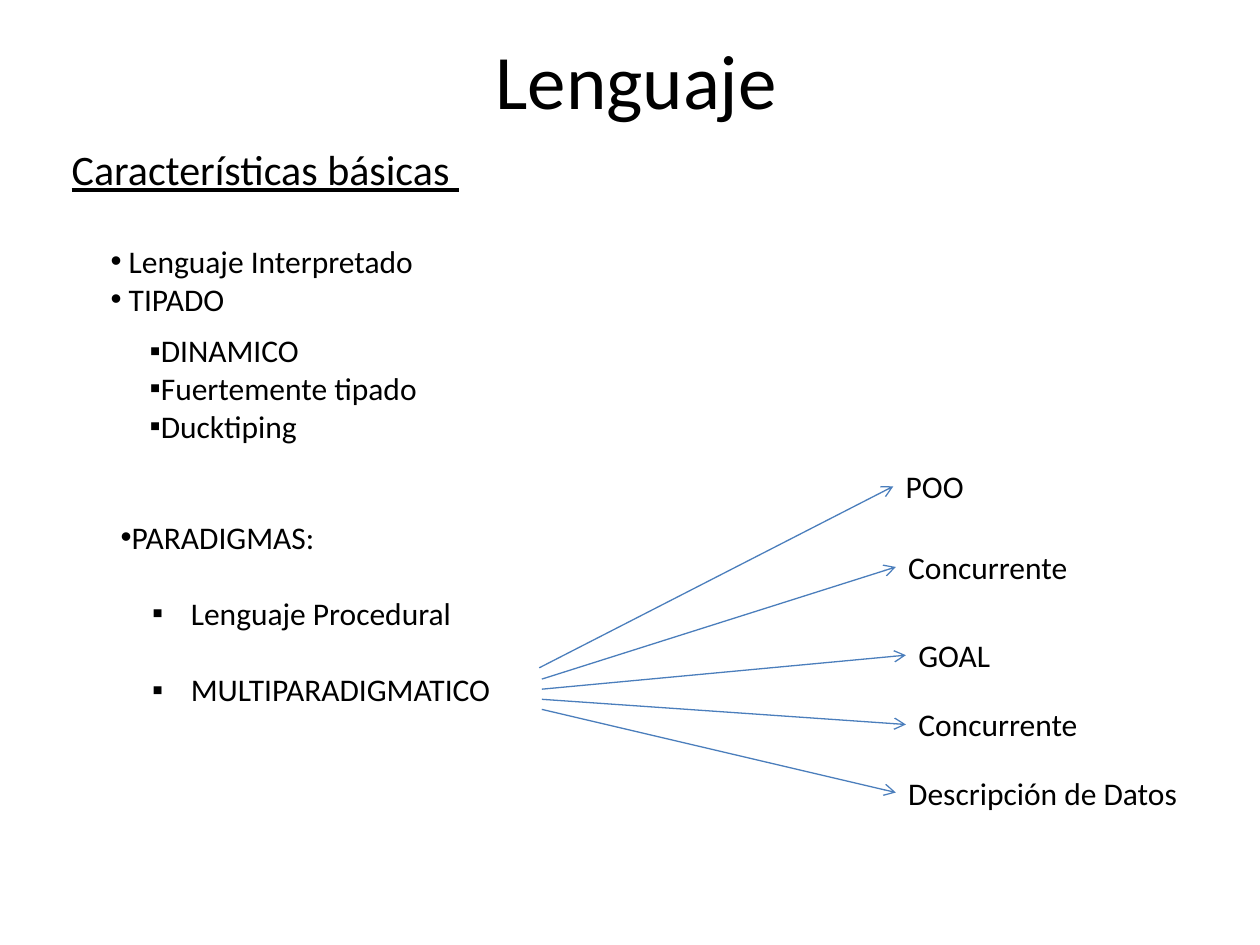
import pptx
import pptx.dml.color
import pptx.enum.shapes
import pptx.enum.text
import pptx.oxml
import pptx.oxml.ns
import pptx.util

PX = 9144
FONT = "Calibri"
COLORS = {"text": "000000", "arrow": "4B7EBC", "background": "FFFFFF"}


def px(length):
    """Turn px, a hundred to the inch, into EMU."""
    return pptx.util.Emu(length * PX)


def color(name):
    """Look up a colour by its role."""
    return pptx.dml.color.RGBColor.from_string(COLORS[name])


def add_text(slide, box, lines, size=18, wrap=True):
    """Add a text box with one paragraph for each line and return its frame."""
    shape = slide.shapes.add_textbox(*map(px, box))
    text_frame = shape.text_frame
    text_frame.word_wrap = wrap
    text_frame.text = "\n".join(lines)
    for paragraph in text_frame.paragraphs:
        font = paragraph.runs[0].font
        font.name = FONT
        font.size = pptx.util.Pt(size)
        font.color.rgb = color("text")
    return text_frame


def set_bullet(paragraph, character, margin=0, hanging=0):
    """Give a paragraph a bullet with a left margin and a hanging indent."""
    properties = paragraph._p.get_or_add_pPr()
    properties.set("marL", str(px(margin)))
    properties.set("indent", str(-px(hanging)))
    for tag, name, value in (("buFont", "typeface", "Arial"), ("buChar", "char", character)):
        element = pptx.oxml.parse_xml(f'<a:{tag} {pptx.oxml.ns.nsdecls("a")} {name}="{value}"/>')
        properties.append(element)


def add_title(slide, box):
    """Add the centred slide title."""
    text_frame = add_text(slide, box, ["Lenguaje"], size=44)
    text_frame.vertical_anchor = pptx.enum.text.MSO_ANCHOR.MIDDLE
    text_frame.paragraphs[0].alignment = pptx.enum.text.PP_ALIGN.CENTER


def add_heading(slide, box):
    """Add the underlined section heading."""
    text_frame = add_text(slide, box, ["Características básicas "], size=24)
    text_frame.paragraphs[0].runs[0].font.underline = True


def add_bullet_list(slide, box, lines, character):
    """Add a flat list of bulleted lines."""
    for paragraph in add_text(slide, box, lines, wrap=False).paragraphs:
        set_bullet(paragraph, character)


def add_paradigms(slide, box):
    """Add the paradigms with their indented, widely spaced items."""
    lines = ["PARADIGMAS:", " Lenguaje Procedural", " MULTIPARADIGMATICO"]
    heading, *items = add_text(slide, box, lines).paragraphs
    set_bullet(heading, "•")
    for paragraph in items:
        paragraph.space_before = pptx.util.Pt(22)
        set_bullet(paragraph, "▪", margin=50, hanging=25)


def add_arrow(slide, start, end):
    """Add a thin line with an open arrowhead at its end."""
    connector = slide.shapes.add_connector(
        pptx.enum.shapes.MSO_CONNECTOR.STRAIGHT, *map(px, start + end))
    connector.line.color.rgb = color("arrow")
    connector.line.width = pptx.util.Pt(0.75)
    namespace = pptx.oxml.ns.nsdecls("a")
    connector.line._get_or_add_ln().append(
        pptx.oxml.parse_xml(f'<a:tailEnd {namespace} type="arrow"/>'))
    connector._element.spPr.append(pptx.oxml.parse_xml(f"<a:effectLst {namespace}/>"))


def add_branches(slide, box):
    """Add a fan of arrows, each leading to the middle left of its label."""
    left, top, width, height = box
    label_height = 40
    branches = [
        ("POO", 0, 164, 281, 0, 66),
        ("Concurrente", 2, 173, 283, 64, 148),
        ("GOAL", 2, 181, 291, 134, 78),
        ("Concurrente", 2, 189, 291, 189, 148),
        ("Descripción de Datos", 2, 197, 283, height - label_height, width - 283),
    ]
    for label, start_x, start_y, label_x, label_y, label_width in branches:
        label_left, label_top = left + label_x, top + label_y
        add_arrow(slide, (left + start_x, top + start_y),
                  (label_left, label_top + label_height // 2))
        add_text(slide, (label_left, label_top, label_width, label_height), [label], wrap=False)


def main():
    """Build and save the slide."""
    presentation = pptx.Presentation()
    presentation.slide_width, presentation.slide_height = px(1000), px(750)
    slide = presentation.slides.add_slide(presentation.slide_layouts[6])
    slide.background.fill.solid()
    slide.background.fill.fore_color.rgb = color("background")
    add_title(slide, (55, 0, 900, 125))
    add_heading(slide, (47, 109, 531, 50))
    add_bullet_list(slide, (78, 187, 263, 71), [" Lenguaje Interpretado", " TIPADO"], "•")
    add_branches(slide, (428, 366, 519, 283))
    add_paradigms(slide, (86, 406, 328, 162))
    add_bullet_list(slide, (109, 258, 237, 101),
                    ["DINAMICO", "Fuertemente tipado", "Ducktiping"], "▪")
    presentation.save("out.pptx")


if __name__ == "__main__":
    main()
